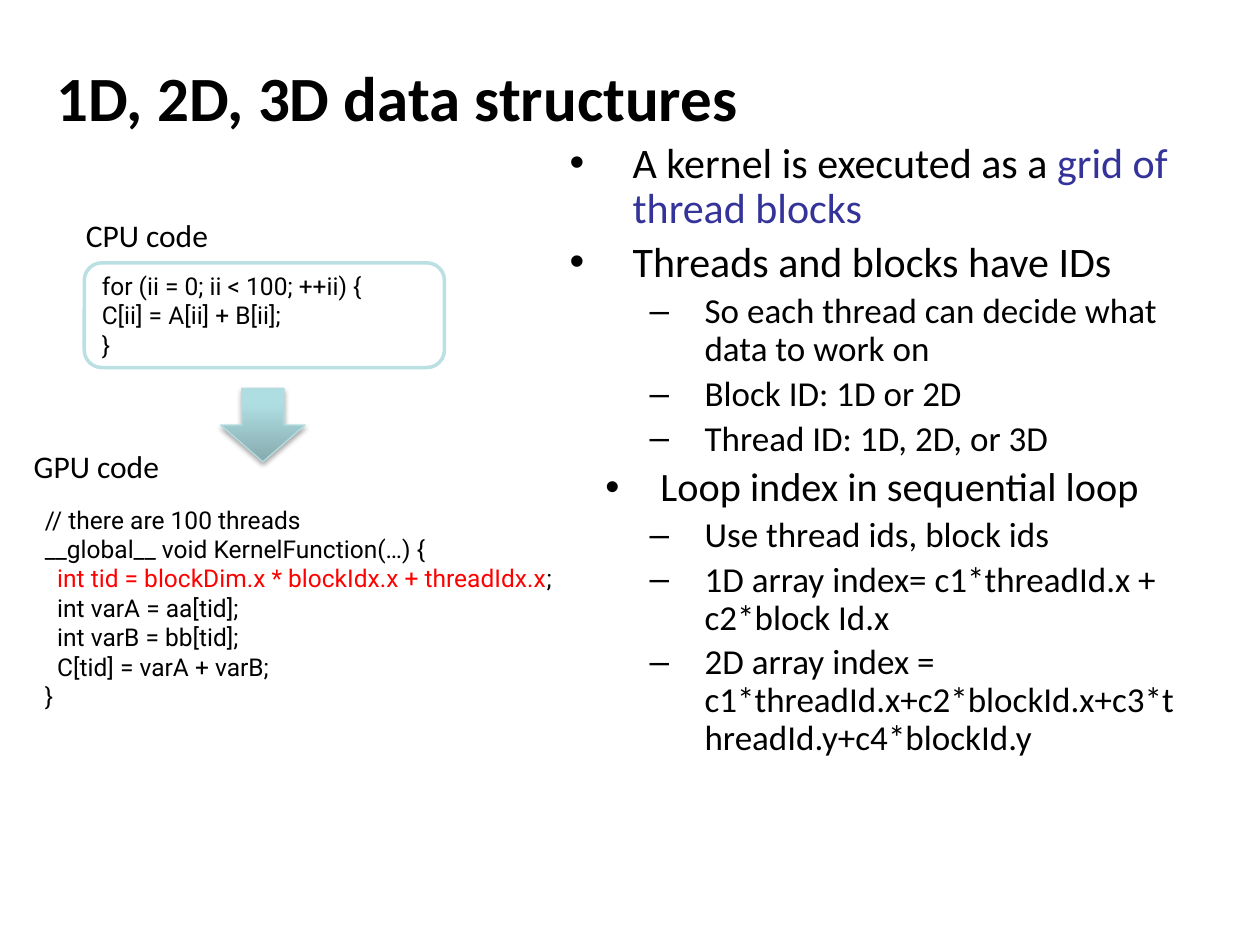
from lxml import etree
from pptx import Presentation
from pptx import util as u
from pptx.dml.color import RGBColor
from pptx.enum import shapes, text
from pptx.oxml import parse_xml
from pptx.oxml.ns import nsdecls, qn

BLACK, WHITE, RED, BLUE, TEAL = "000000", "FFFFFF", "FF0000", "333399", "BBE0E3"

MAIN = (0, 24, 1.27, -1.27)
LOOP = (0, 23, 1.83, -1.11)
DETAIL = (1, 20, 2.72, -1.11)
BULLETS = [
    (MAIN, [("A kernel is executed as a ", BLACK), ("grid of thread blocks", BLUE)]),
    (MAIN, [("Threads and blocks have IDs", BLACK)]),
    (DETAIL, [("So each thread can decide what data to work on", BLACK)]),
    (DETAIL, [("Block ID: 1D or 2D", BLACK)]),
    (DETAIL, [("Thread ID: 1D, 2D, or 3D", BLACK)]),
    (LOOP, [("Loop index in sequential loop", BLACK)]),
    (DETAIL, [("Use thread ids, block ids", BLACK)]),
    (DETAIL, [("1D array index= c1*threadId.x + c2*block Id.x", BLACK)]),
    (DETAIL, [("2D array index = c1*threadId.x+c2*blockId.x+c3*threadId.y+c4*blockId.y", BLACK)]),
]
CPU_CODE = [
    (0, [("for (ii = 0; ii < 100; ++ii) {", BLACK)]),
    (0, [("C[ii] = A[ii] + B[ii];", BLACK)]),
    (0, [("}", BLACK)]),
]
GPU_CODE = [
    (0, [("// there are 100 threads", BLACK)]),
    (0, [("__global__ void KernelFunction(…) {", BLACK)]),
    (0.25, [("int tid = blockDim.x * blockIdx.x + threadIdx.x", RED), (";", BLACK)]),
    (0.25, [("int varA = aa[tid];", BLACK)]),
    (0.25, [("int varB = bb[tid];", BLACK)]),
    (0.25, [("C[tid] = varA + varB;", BLACK)]),
    (0, [("}", BLACK)]),
]


def rgb(color):
    return RGBColor.from_string(color)


def place(shape, left, top, width, height):
    shape.left, shape.top = u.Cm(left), u.Cm(top)
    shape.width, shape.height = u.Cm(width), u.Cm(height)


def write_runs(paragraph, runs, size, font="Calibri", bold=False):
    paragraph.alignment = text.PP_ALIGN.LEFT
    for words, color in runs:
        run = paragraph.add_run()
        run.text = words
        run.font.name = font
        run.font.size = u.Pt(size)
        run.font.bold = bold
        run.font.color.rgb = rgb(color)


def paragraphs_for(text_frame, items):
    for index, item in enumerate(items):
        paragraph = text_frame.add_paragraph() if index else text_frame.paragraphs[0]
        yield paragraph, item


def indent(paragraph, margin, first_line=0):
    properties = paragraph._p.get_or_add_pPr()
    properties.set("marL", str(u.Cm(margin)))
    properties.set("indent", str(u.Cm(first_line)))
    return properties


def fill_title(title, words):
    place(title, 0.89, 0.89, 22.86, 2.11)
    title.text_frame.vertical_anchor = text.MSO_ANCHOR.MIDDLE
    write_runs(title.text_frame.paragraphs[0], [(words, BLACK)], 36, bold=True)


def fill_body(body, bullets):
    place(body, 11.23, 2.74, 13.03, 15.88)
    body.text_frame.auto_size = text.MSO_AUTO_SIZE.NONE
    for paragraph, (style, runs) in paragraphs_for(body.text_frame, bullets):
        level, size, margin, first_line = style
        paragraph.level = level
        paragraph.line_spacing = 0.9
        paragraph.space_before = u.Pt(size * 0.2)
        write_runs(paragraph, runs, size)
        properties = indent(paragraph, margin, first_line)
        etree.SubElement(properties, qn("a:buFont")).set("typeface", "Arial")
        etree.SubElement(properties, qn("a:buChar")).set("char", "–" if level else "•")


def add_code_box(slide, left, top, width, height, line_color, lines):
    shape = slide.shapes.add_shape(
        shapes.MSO_SHAPE.ROUNDED_RECTANGLE, u.Cm(left), u.Cm(top), u.Cm(width), u.Cm(height))
    shape.shadow.inherit = False
    shape.fill.solid()
    shape.fill.fore_color.rgb = rgb(WHITE)
    shape.line.color.rgb = rgb(line_color)
    shape.line.width = u.Pt(2)
    shape.text_frame.word_wrap = True
    shape.text_frame.vertical_anchor = text.MSO_ANCHOR.MIDDLE
    for paragraph, (margin, runs) in paragraphs_for(shape.text_frame, lines):
        indent(paragraph, margin)
        write_runs(paragraph, runs, 14, "Roboto")


def add_label(slide, left, top, width, words):
    label = slide.shapes.add_textbox(u.Cm(left), u.Cm(top), u.Cm(width), u.Cm(1.02))
    label.text_frame.word_wrap = True
    write_runs(label.text_frame.paragraphs[0], [(words, BLACK)], 18)


def add_down_arrow(slide, left, top, width, height):
    arrow = slide.shapes.add_shape(
        shapes.MSO_SHAPE.DOWN_ARROW, u.Cm(left), u.Cm(top), u.Cm(width), u.Cm(height))
    arrow.fill.gradient()
    arrow.fill.gradient_angle = 90
    stops = [(0, "87ABAE"), (0.8, "AFDEE2")]
    for stop, (position, color) in zip(arrow.fill.gradient_stops, stops):
        stop.position = position
        stop.color.rgb = rgb(color)
    arrow.line.color.rgb = rgb("B6DCDF")
    arrow.line.width = u.Pt(0.75)
    arrow._element.spPr.append(parse_xml(
        f'<a:effectLst {nsdecls("a")}>'
        f'<a:outerShdw blurRad="{u.Pt(3.1)}" dist="{u.Pt(1.8)}" dir="5400000" rotWithShape="0">'
        f'<a:srgbClr val="{BLACK}"><a:alpha val="35000"/></a:srgbClr>'
        '</a:outerShdw></a:effectLst>'))


def main():
    presentation = Presentation()
    presentation.slide_width, presentation.slide_height = u.Cm(25.4), u.Cm(19.05)
    slide = presentation.slides.add_slide(presentation.slide_layouts[1])
    fill_title(slide.shapes.title, "1D, 2D, 3D data structures")
    fill_body(slide.placeholders[1], BULLETS)
    add_code_box(slide, 1.7, 5.3, 7.26, 2.11, TEAL, CPU_CODE)
    add_code_box(slide, 0.43, 9.95, 11.58, 4.6, WHITE, GPU_CODE)
    add_down_arrow(slide, 4.45, 7.83, 1.7, 1.48)
    add_label(slide, 1.48, 4.24, 3.43, "CPU code")
    add_label(slide, 0.43, 8.89, 3.86, "GPU code")
    presentation.save("out.pptx")


if __name__ == "__main__":
    main()
